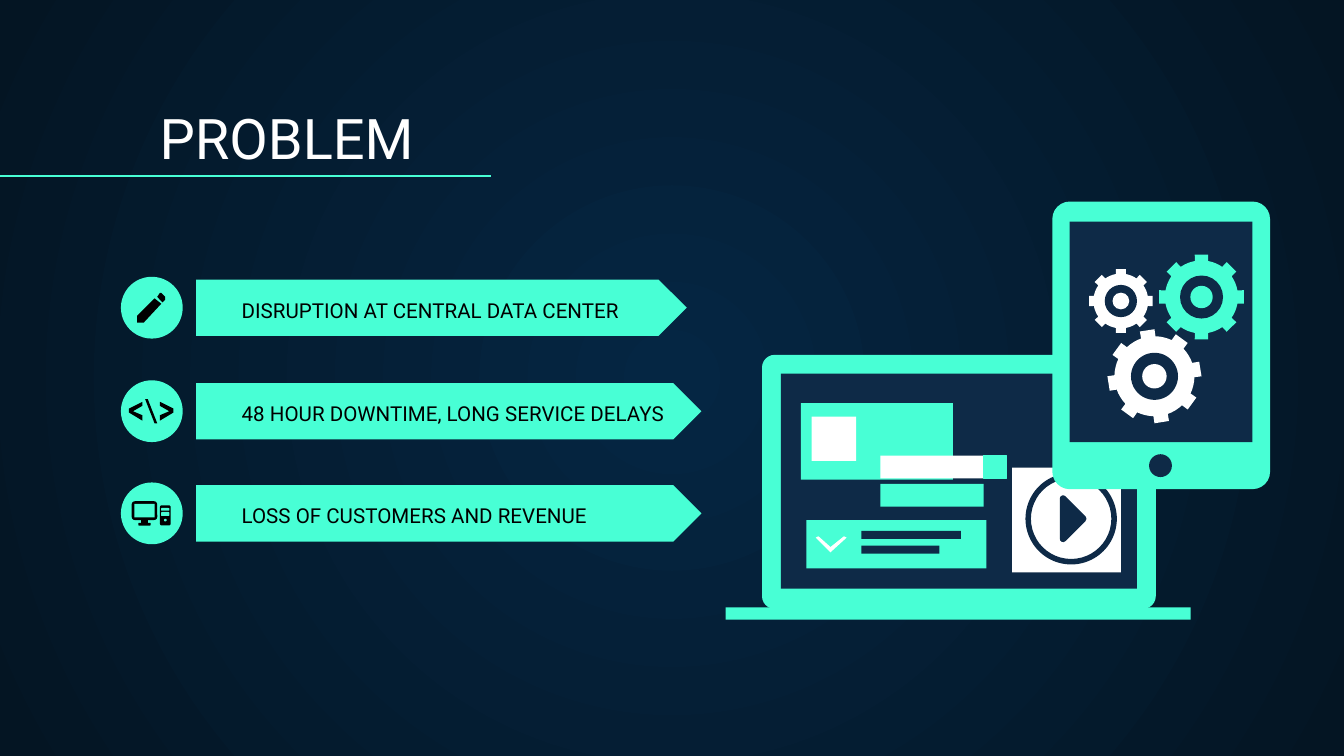
import math
import pptx
import pptx.dml.color
import pptx.enum.shapes
import pptx.enum.text
import pptx.oxml
import pptx.oxml.ns
import pptx.util

Inches = pptx.util.Inches
Pt = pptx.util.Pt
rgb = pptx.dml.color.RGBColor.from_string
kinds = pptx.enum.shapes.MSO_SHAPE
RECT, ROUND, OVAL = kinds.RECTANGLE, kinds.ROUNDED_RECTANGLE, kinds.OVAL
TEAL, NAVY, WHITE, BLACK = "48FFD5", "0E2A47", "FFFFFF", "000000"
FONT = "Roboto"

deck = pptx.Presentation()
deck.slide_width = Inches(10)
deck.slide_height = Inches(10) * 9 // 16
slide = deck.slides.add_slide(deck.slide_layouts[6])


def draw(kind, spot, color, adjust=None):
    """Draw a preset in a box (left, top, width, height), or a polygon if kind is None."""
    if kind is None:
        points = [(Inches(x), Inches(y)) for x, y in spot]
        pen = slide.shapes.build_freeform(*points[0])
        pen.add_line_segments(points[1:], close=True)
        shape = pen.convert_to_shape()
    else:
        shape = slide.shapes.add_shape(kind, *[Inches(n) for n in spot])
    if adjust is not None:
        shape.adjustments[0] = adjust
    shape.shadow.inherit = False
    shape.fill.solid()
    shape.fill.fore_color.rgb = rgb(color)
    shape.line.fill.background()
    return shape


def write(text, left, top, width, height, size, color):
    box = slide.shapes.add_textbox(Inches(left), Inches(top), Inches(width), Inches(height))
    frame = box.text_frame
    frame.word_wrap = True
    frame.vertical_anchor = pptx.enum.text.MSO_ANCHOR.BOTTOM
    frame.margin_left = frame.margin_right = Inches(0.1)
    frame.margin_top = frame.margin_bottom = Inches(0.1)
    line = frame.paragraphs[0]
    line.text = text
    line.font.name, line.font.size = FONT, Pt(size)
    line.font.color.rgb = rgb(color)


# Background: radial gradient from the centre
fill = slide.background.fill
fill.gradient()
for stop, color in zip(fill.gradient_stops, ("052643", "041523")):
    stop.color.rgb = rgb(color)
grad = slide.element.find(".//" + pptx.oxml.ns.qn("a:gradFill"))
grad.remove(grad.find(pptx.oxml.ns.qn("a:lin")))
grad.append(pptx.oxml.parse_xml(
    '<a:path xmlns:a="http://schemas.openxmlformats.org/drawingml/2006/main" path="circle">'
    '<a:fillToRect l="50000" t="50000" r="50000" b="50000"/></a:path>'))

# Title and its rule
write("PROBLEM", 1.09, 0.71, 8.57, 0.66, 30, WHITE)
rule = slide.shapes.add_connector(pptx.enum.shapes.MSO_CONNECTOR.STRAIGHT,
                                  Inches(0), Inches(1.31), Inches(3.65), Inches(1.31))
rule.line.color.rgb = rgb(TEAL)
rule.line.width = Pt(0.75)
rule.element.spPr.append(pptx.oxml.parse_xml(
    '<a:effectLst xmlns:a="http://schemas.openxmlformats.org/drawingml/2006/main"/>'))

# Three problems: arrow, label and icon disc
for top, width, text in [
    (2.08, 3.65, "DISRUPTION AT CENTRAL DATA CENTER"),
    (2.85, 3.76, "48 HOUR DOWNTIME, LONG SERVICE DELAYS"),
    (3.61, 3.76, "LOSS OF CUSTOMERS AND REVENUE"),
]:
    draw(kinds.PENTAGON, (1.46, top, width, 0.42), TEAL, 0.5)
    write(text, 1.7, top + 0.2, 3.46, 0.21, 11, BLACK)
    draw(OVAL, (0.9, top - 0.02, 0.46, 0.46), TEAL)

# Pencil icon
draw(None, [(1.19, 2.18), (1.2, 2.18), (1.23, 2.21), (1.23, 2.23), (1.21, 2.25), (1.17, 2.21)], BLACK)
draw(None, [(1.15, 2.22), (1.02, 2.35), (1.02, 2.4), (1.07, 2.4), (1.2, 2.26)], BLACK)

# Code icon: mirrored brackets around a slash
angle = [(1.06, 3.13), (0.96, 3.07), (0.96, 3.04), (1.06, 2.99),
         (1.06, 3.02), (0.99, 3.06), (1.06, 3.09)]
draw(None, angle, BLACK)
draw(None, [(1.15, 3.15), (1.08, 2.97), (1.1, 2.97), (1.17, 3.15)], BLACK)
draw(None, [(2.25 - x, y) for x, y in angle], BLACK)

# Computer icon: screen, stand and tower
for kind, spot, color in [
    (ROUND, (0.98, 3.73, 0.19, 0.14), BLACK),
    (RECT, (1, 3.75, 0.15, 0.1), TEAL),
    (RECT, (1.05, 3.87, 0.05, 0.03), BLACK),
    (ROUND, (1.03, 3.89, 0.09, 0.02), BLACK),
    (ROUND, (1.19, 3.76, 0.08, 0.15), BLACK),
    (ROUND, (1.2, 3.78, 0.06, 0.02), TEAL),
    (ROUND, (1.2, 3.81, 0.06, 0.03), TEAL),
    (OVAL, (1.22, 3.86, 0.02, 0.02), TEAL),
]:
    draw(kind, spot, color)

# Laptop
draw(ROUND, (5.67, 2.64, 2.93, 1.89), TEAL, 0.05)
for spot, color in [
    ((5.81, 2.78, 2.65, 1.6), NAVY),
    ((5.4, 4.52, 3.46, 0.09), TEAL),
    ((5.96, 3, 1.13, 0.57), TEAL),
    ((6.04, 3.1, 0.33, 0.33), WHITE),
    ((6, 3.87, 1.34, 0.36), TEAL),
    ((6.41, 3.95, 0.74, 0.06), NAVY),
    ((6.41, 4.06, 0.58, 0.06), NAVY),
    ((6.55, 3.6, 0.77, 0.17), TEAL),
    ((6.55, 3.39, 0.77, 0.17), WHITE),
    ((7.53, 3.48, 0.81, 0.78), WHITE),
]:
    draw(RECT, spot, color)
tab = draw(RECT, (7.32, 3.39, 0.17, 0.17), TEAL)
tab.line.color.rgb = rgb(TEAL)
tab.line.width = Pt(0.75)

# Check mark and play button
draw(None, [(6.07, 4), (6.09, 3.99), (6.18, 4.07), (6.28, 3.99),
            (6.3, 4), (6.19, 4.1), (6.18, 4.11), (6.17, 4.1)], WHITE)
draw(kinds.DONUT, (7.63, 3.52, 0.68, 0.68), NAVY, 0.06)
play = draw(None, [(7.91, 3.71), (8.06, 3.86), (7.91, 4.01)], NAVY)
play.line.color.rgb = rgb(NAVY)
play.line.width = Pt(3.5)

# Tablet
draw(ROUND, (7.83, 1.5, 1.62, 2.14), TEAL, 0.08)
draw(RECT, (7.96, 1.65, 1.36, 1.64), NAVY)
draw(OVAL, (8.55, 3.38, 0.17, 0.17), NAVY)

# Gears: eight teeth on a round body, then hole and hub
for x, y, size, turn, color in [
    (8.94, 2.21, 0.32, 0, TEAL),
    (8.34, 2.24, 0.24, 0, WHITE),
    (8.59, 2.8, 0.35, -9, WHITE),
]:
    rim = []
    for tooth in range(8):
        for reach, shift in [(0.85, -10.5), (1, -9), (1, 9), (0.85, 10.5),
                             (0.85, 16.5), (0.85, 22.5), (0.85, 28.5)]:
            turned = math.radians(turn + 45 * tooth + shift)
            rim.append((x + size * reach * math.cos(turned), y + size * reach * math.sin(turned)))
    draw(None, rim, color)
    for part, tint in [(0.5, NAVY), (0.26, color)]:
        r = size * part
        draw(OVAL, (x - r, y - r, 2 * r, 2 * r), tint)

deck.save("out.pptx")
